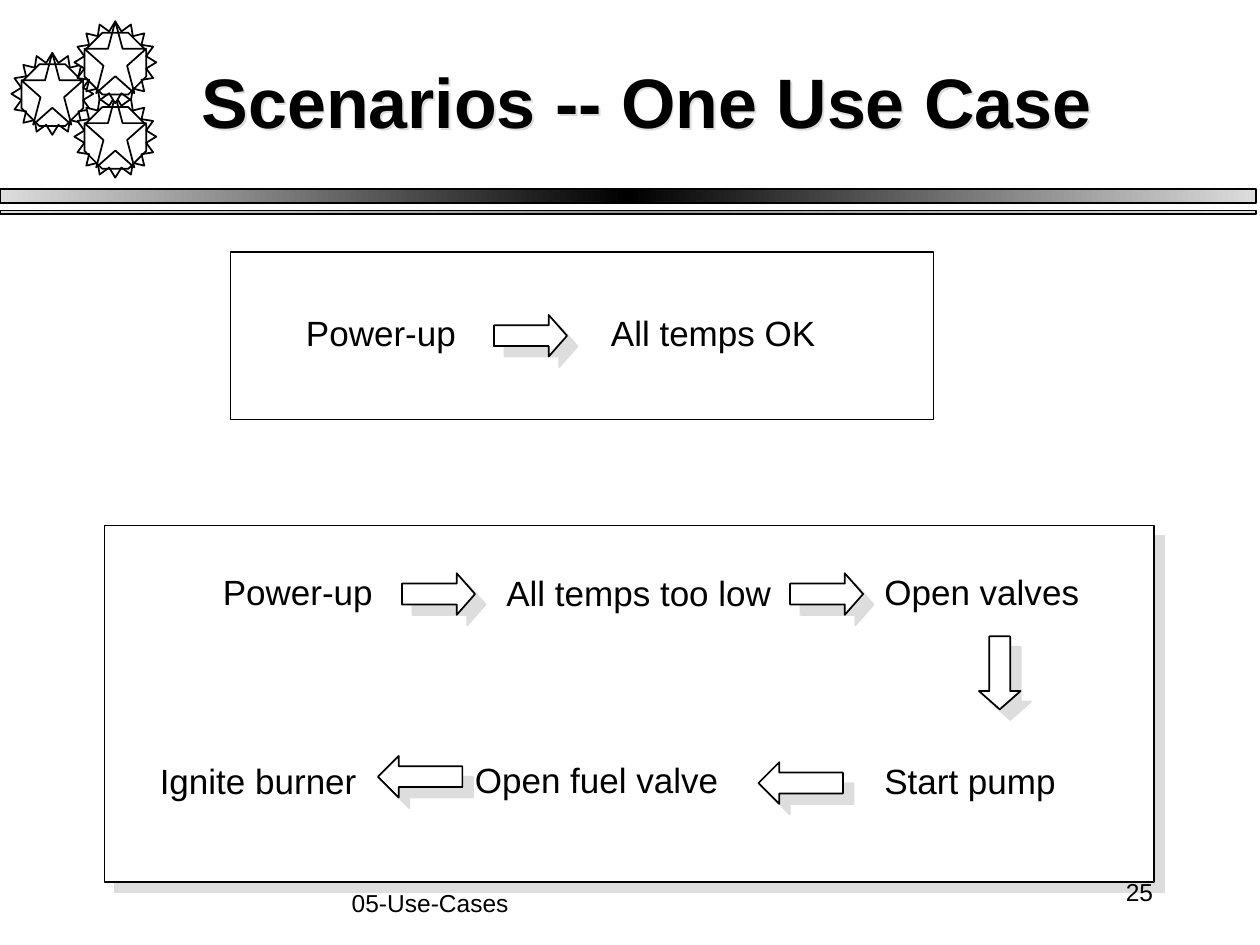
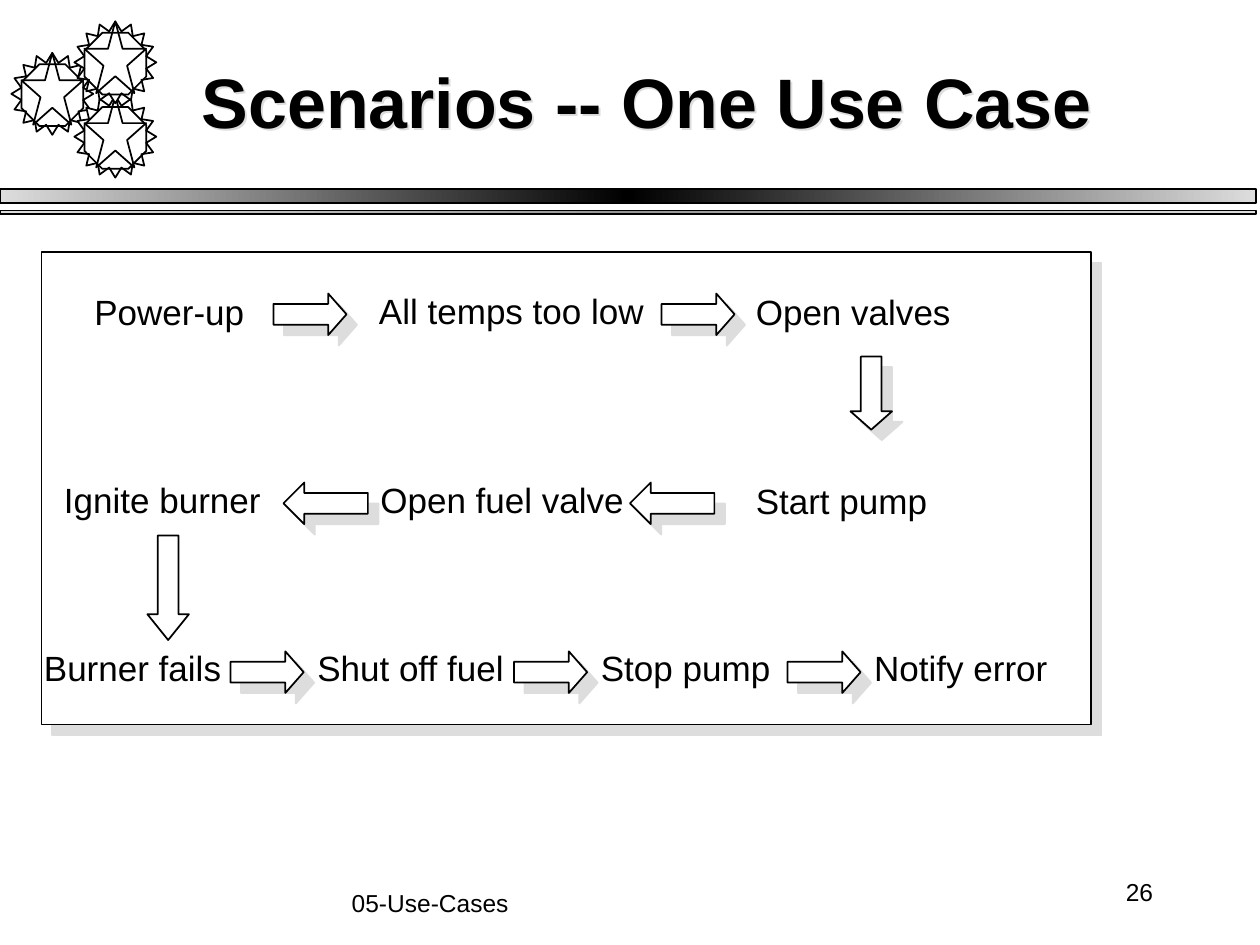
import math
from copy import deepcopy
from dataclasses import dataclass

import lxml.etree
import pptx
import pptx.dml.color
import pptx.enum.shapes
import pptx.enum.text
import pptx.oxml
import pptx.oxml.ns
import pptx.util

Inches = pptx.util.Inches
Pt = pptx.util.Pt
RGBColor = pptx.dml.color.RGBColor
MSO = pptx.enum.shapes.MSO_SHAPE
ANCHOR = pptx.enum.text.MSO_ANCHOR
ALIGN = pptx.enum.text.PP_ALIGN
AUTO_SIZE = pptx.enum.text.MSO_AUTO_SIZE
qn = pptx.oxml.ns.qn

BLACK = RGBColor(0x00, 0x00, 0x00)
WHITE = RGBColor(0xFF, 0xFF, 0xFF)
SILVER = RGBColor(0xDD, 0xDD, 0xDD)
GRAY = RGBColor(0x96, 0x96, 0x96)
FONT = "Arial"
TITLE = "Scenarios -- One Use Case"
FOOTER = "05-Use-Cases"
SHAPE_SHADOW = 8.5
TITLE_SHADOW = 1.5

GEAR_CORNERS = [(0.09, 0.42), (0.59, 0.76), (0.59, 0.17)]
GEAR_SIZE = 0.65
GEAR_TEETH = 16
STEP_HEIGHT = 0.44
STEP_WIDTHS = {
    "Power-up": 1.5,
    "All temps OK": 1.95,
    "All temps too low": 2.4,
    "Open valves": 1.85,
    "Start pump": 1.7,
    "Open fuel valve": 2.25,
    "Ignite burner": 1.9,
    "Burner fails": 1.75,
    "Shut off fuel": 1.8,
    "Stop pump": 1.65,
    "Notify error": 1.7,
}


@dataclass(frozen=True)
class ArrowKind:
    shape: MSO
    width: float
    height: float
    head: float
    shadow: bool = True


RIGHT = ArrowKind(MSO.RIGHT_ARROW, 0.58, 0.33, 0.44)
LEFT = ArrowKind(MSO.LEFT_ARROW, 0.67, 0.33, 0.5)
DOWN = ArrowKind(MSO.DOWN_ARROW, 0.33, 0.58, 0.44)
LONG_DOWN = ArrowKind(MSO.DOWN_ARROW, 0.33, 0.83, 0.62, False)


@dataclass(frozen=True)
class Arrow:
    kind: ArrowKind
    left: float
    top: float


@dataclass(frozen=True)
class Step:
    text: str
    left: float
    top: float


@dataclass(frozen=True)
class Scenario:
    left: float
    top: float
    width: float
    height: float
    shadow: bool
    steps: list[Step]
    arrows: list[Arrow]


@dataclass(frozen=True)
class Page:
    number: int
    scenarios: list[Scenario]


PAGES = [
    Page(25, [
        Scenario(
            0.83, 4.17, 8.33, 2.83, True,
            [Step("Power-up", 1.67, 4.48), Step("All temps too low", 3.92, 4.49),
             Step("Open valves", 6.92, 4.48), Step("Start pump", 6.92, 5.98),
             Step("Open fuel valve", 3.67, 5.97), Step("Ignite burner", 1.17, 5.98)],
            [Arrow(RIGHT, 3.19, 4.55), Arrow(RIGHT, 6.27, 4.55), Arrow(DOWN, 7.77, 5.05),
             Arrow(LEFT, 6.02, 6.05), Arrow(LEFT, 3, 6)]),
        Scenario(
            1.83, 2, 5.58, 1.33, False,
            [Step("Power-up", 2.33, 2.42), Step("All temps OK", 4.75, 2.42)],
            [Arrow(RIGHT, 3.92, 2.5)]),
    ]),
    Page(26, [
        Scenario(
            0.33, 2, 8.33, 3.75, True,
            [Step("Power-up", 0.65, 2.26), Step("All temps too low", 2.91, 2.25),
             Step("Open valves", 5.9, 2.26), Step("Start pump", 5.9, 3.76),
             Step("Open fuel valve", 2.92, 3.75), Step("Ignite burner", 0.41, 3.75),
             Step("Burner fails", 0.25, 5.08), Step("Shut off fuel", 2.42, 5.08),
             Step("Stop pump", 4.67, 5.08), Step("Notify error", 6.84, 5.08)],
            [Arrow(RIGHT, 2.17, 2.33), Arrow(RIGHT, 5.25, 2.33), Arrow(DOWN, 6.75, 2.83),
             Arrow(LEFT, 5, 3.83), Arrow(LEFT, 2.25, 3.83), Arrow(LONG_DOWN, 1.17, 4.25),
             Arrow(RIGHT, 1.83, 5.17), Arrow(RIGHT, 4.08, 5.17), Arrow(RIGHT, 6.25, 5.17)]),
    ]),
]


def make_shadow(distance: float) -> lxml.etree._Element:
    return pptx.oxml.parse_xml(
        f'<a:effectLst {pptx.oxml.ns.nsdecls("a")}>'
        f'<a:outerShdw dist="{Pt(distance)}" dir="2700000" algn="ctr" rotWithShape="0">'
        f'<a:srgbClr val="{SILVER}"/></a:outerShdw></a:effectLst>')


def set_shadow(sp, distance: float) -> None:
    sp.shadow.inherit = False
    if distance:
        spPr = sp.element.spPr
        spPr.replace(spPr.find(qn("a:effectLst")), make_shadow(distance))


def style_shape(sp, filled: bool = True, shadow: bool = False) -> None:
    if filled:
        sp.fill.solid()
        sp.fill.fore_color.rgb = WHITE
    else:
        sp.fill.background()
    sp.line.color.rgb = BLACK
    sp.line.width = Pt(1)
    set_shadow(sp, SHAPE_SHADOW if shadow else 0)


def add_shape(shapes, kind: MSO, left: float, top: float, width: float, height: float,
              filled: bool = True, shadow: bool = False):
    sp = shapes.add_shape(kind, Inches(left), Inches(top), Inches(width), Inches(height))
    style_shape(sp, filled, shadow)
    return sp


def write_text(sp, text: str, size: int = 20, bold: bool = False, align=ALIGN.LEFT,
               anchor=ANCHOR.TOP) -> None:
    tf = sp.text_frame
    tf.word_wrap = True
    tf.auto_size = AUTO_SIZE.NONE
    tf.vertical_anchor = anchor
    p = tf.paragraphs[0]
    p.alignment = align
    r = p.add_run()
    r.text = text
    r.font.size = Pt(size)
    r.font.bold = bold
    r.font.name = FONT
    r.font.color.rgb = BLACK


def add_text(slide, text: str, left: float, top: float, width: float, height: float,
             **style) -> None:
    sp = slide.shapes.add_textbox(Inches(left), Inches(top), Inches(width), Inches(height))
    write_text(sp, text, **style)


def add_band(slide, top: float, height: float, middle: RGBColor) -> None:
    sp = add_shape(slide.shapes, MSO.RECTANGLE, 0, top, 9.97, height)
    sp.fill.gradient()
    sp.fill.gradient_angle = 0
    stops = sp.element.spPr.find(".//" + qn("a:gsLst"))
    stops.append(deepcopy(stops[0]))
    for i, (stop, color) in enumerate(zip(sp.fill.gradient_stops, (SILVER, middle, SILVER))):
        stop.position = i / 2
        stop.color.rgb = color


def add_gear(shapes, left: float, top: float) -> None:
    outer = GEAR_SIZE / 2
    points = []
    for i in range(2 * GEAR_TEETH):
        radius = 0.25 if i % 2 else outer
        angle = math.pi * (1 - i / GEAR_TEETH)
        points.append((Inches(left + outer + radius * math.cos(angle)),
                       Inches(top + outer + radius * math.sin(angle))))
    builder = shapes.build_freeform(*points[0])
    builder.add_line_segments(points[1:], close=True)
    style_shape(builder.convert_to_shape())
    add_shape(shapes, MSO.STAR_5_POINT, left + 0.08, top, 0.49, 0.57)
    octagon = add_shape(shapes, MSO.OCTAGON, left + 0.08, top + 0.09, 0.49, 0.49, filled=False)
    octagon.adjustments[0] = 0.29


def add_title(slide) -> None:
    title = slide.shapes.title
    title.left, title.top = Inches(1.5), Inches(0.17)
    title.width, title.height = Inches(8.5), Inches(1.25)
    title.fill.background()
    sp_pr = title.element.spPr
    sp_pr.append(make_shadow(TITLE_SHADOW))
    write_text(title, TITLE, size=40, bold=True, anchor=ANCHOR.MIDDLE)


def add_frame(slide, number: int) -> None:
    add_band(slide, 1.5, 0.11, BLACK)
    add_band(slide, 1.67, 0.03, GRAY)
    gears = slide.shapes.add_group_shape()
    for left, top in GEAR_CORNERS:
        add_gear(gears.shapes, left, top)
    add_title(slide)
    add_text(slide, FOOTER, 0.58, 7, 5.67, 0.5, size=14, align=ALIGN.CENTER)
    add_text(slide, str(number), 7.17, 6.83, 2.08, 0.5, size=14, align=ALIGN.RIGHT,
             anchor=ANCHOR.MIDDLE)


def add_scenario(slide, scenario: Scenario) -> None:
    add_shape(slide.shapes, MSO.RECTANGLE, scenario.left, scenario.top, scenario.width,
              scenario.height, shadow=scenario.shadow)
    for arrow in scenario.arrows:
        kind = arrow.kind
        sp = add_shape(slide.shapes, kind.shape, arrow.left, arrow.top, kind.width,
                       kind.height, shadow=kind.shadow)
        sp.adjustments[0] = 0.5
        sp.adjustments[1] = kind.head
    for step in scenario.steps:
        add_text(slide, step.text, step.left, step.top, STEP_WIDTHS[step.text], STEP_HEIGHT)


def main() -> None:
    prs = pptx.Presentation()
    prs.slide_width, prs.slide_height = Inches(10), Inches(7.5)
    for page in PAGES:
        slide = prs.slides.add_slide(prs.slide_layouts[5])
        for scenario in page.scenarios:
            add_scenario(slide, scenario)
        add_frame(slide, page.number)
    prs.save("out.pptx")


if __name__ == "__main__":
    main()
